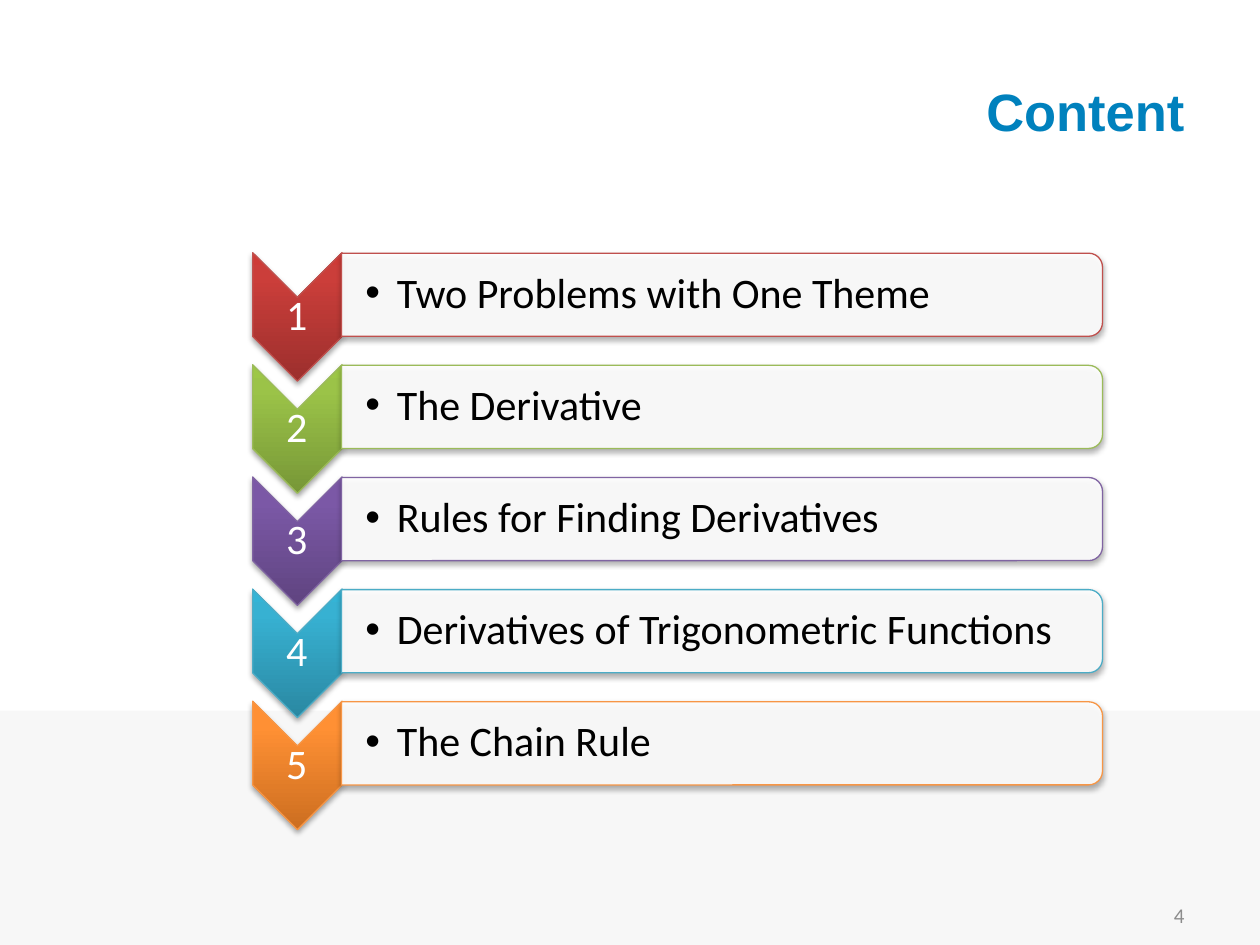
from lxml import etree
from pptx import Presentation
from pptx.dml.color import RGBColor
from pptx.enum.shapes import MSO_SHAPE
from pptx.enum.text import MSO_ANCHOR, PP_ALIGN
from pptx.oxml import parse_xml
from pptx.oxml.ns import nsdecls, qn
from pptx.util import Inches, Pt

CHEVRON = MSO_SHAPE.CHEVRON
BAR = MSO_SHAPE.ROUND_2_SAME_RECTANGLE
RECTANGLE = MSO_SHAPE.RECTANGLE
LEFT, CENTER, RIGHT = PP_ALIGN.LEFT, PP_ALIGN.CENTER, PP_ALIGN.RIGHT
MIDDLE = MSO_ANCHOR.MIDDLE

COLORS = {
    "white": "FFFFFF",
    "black": "000000",
    "band": "F7F7F7",
    "title": "0081BD",
    "page number": "8C8C8C",
}
# Topic, line colour, gradient colours at 0, 80 and 100 percent
TOPICS = [
    ("Two Problems with One Theme", "C0504D", ("9C2F2D", "CB3E3A", "CE3B37")),
    ("The Derivative", "9BBB59", ("779737", "9BC348", "9DC746")),
    ("Rules for Finding Derivatives", "8064A2", ("5F4480", "7B58A6", "7C57A8")),
    ("Derivatives of Trigonometric Functions", "4BACC6", ("2A88A2", "37B1D2", "34B4D6")),
    ("The Chain Rule", "F79646", ("CC6E20", "FF9034", "FF9136")),
]
ROW_PITCH = 0.89


def add_shape(page, kind, left, top, width, height, color):
    shape = page.shapes.add_shape(
        kind, Inches(left), Inches(top), Inches(width), Inches(height))
    shape.shadow.inherit = False
    shape.fill.solid()
    shape.fill.fore_color.rgb = RGBColor.from_string(color)
    shape.line.fill.background()
    return shape


def add_topic_shape(page, kind, left, top, width, height, line_color):
    """Add a shape turned a quarter, with a thin outline and a soft shadow."""
    shape = add_shape(page, kind, left, top, width, height, COLORS["white"])
    shape.rotation = 90
    shape.line.color.rgb = RGBColor.from_string(line_color)
    shape.line.width = Pt(0.75)
    effects = shape._element.spPr.find(qn("a:effectLst"))
    effects.append(parse_xml(
        f'<a:outerShdw {nsdecls("a")} blurRad="40000" dist="23000" dir="5400000" '
        f'rotWithShape="0"><a:srgbClr val="{COLORS["black"]}">'
        '<a:alpha val="35000"/></a:srgbClr></a:outerShdw>'))
    return shape


def set_gradient(shape, stops):
    """Run the gradient from the bottom up, whatever the shape's rotation."""
    marks = "".join(
        f'<a:gs pos="{position}"><a:srgbClr val="{color}"/></a:gs>'
        for position, color in zip((0, 80000, 100000), stops))
    properties = shape._element.spPr
    properties.replace(properties.find(qn("a:solidFill")), parse_xml(
        f'<a:gradFill {nsdecls("a")} rotWithShape="0"><a:gsLst>{marks}</a:gsLst>'
        '<a:lin ang="16200000" scaled="0"/></a:gradFill>'))


def set_opacity(shape, percent):
    color = shape._element.spPr.find(qn("a:solidFill"))[0]
    etree.SubElement(color, qn("a:alpha")).set("val", str(percent * 1000))


def add_text(page, text, left, top, width, height, size, color, align,
             font="Calibri", bold=False):
    box = page.shapes.add_textbox(
        Inches(left), Inches(top), Inches(width), Inches(height))
    frame = box.text_frame
    frame.word_wrap = True
    frame.vertical_anchor = MIDDLE
    frame.text = text
    para = frame.paragraphs[0]
    para.alignment = align
    span = para.runs[0]
    span.font.name = font
    span.font.size = Pt(size)
    span.font.bold = bold
    span.font.color.rgb = RGBColor.from_string(color)
    return frame


def tighten(frame, left_inset=0.02):
    frame.margin_left = Inches(left_inset)
    frame.margin_right = frame.margin_top = frame.margin_bottom = Inches(0.02)
    frame.paragraphs[0].line_spacing = 0.9


def add_bullet(para):
    properties = para._p.get_or_add_pPr()
    properties.set("marL", str(Inches(0.25)))
    properties.set("indent", str(-Inches(0.25)))
    etree.SubElement(properties, qn("a:buFont")).set("typeface", "Arial")
    etree.SubElement(properties, qn("a:buChar")).set("char", "•")


def add_topic(page, index, topic, line_color, stops):
    offset = index * ROW_PITCH
    chevron = add_topic_shape(page, CHEVRON, 1.85, 2.16 + offset, 1.02, 0.71, line_color)
    set_gradient(chevron, stops)
    number = add_text(page, str(index + 1), 2, 2.36 + offset, 0.71, 0.31,
                      24, COLORS["white"], CENTER)
    tighten(number)
    bar = add_topic_shape(page, BAR, 5.4, -0.68 + offset, 0.66, 6.04, line_color)
    set_opacity(bar, 90)
    label = add_text(page, topic, 2.71, 2.04 + offset, 6, 0.6,
                     24, COLORS["black"], LEFT)
    tighten(label, left_inset=0.19)
    add_bullet(label.paragraphs[0])


def main():
    deck = Presentation()
    deck.slide_width, deck.slide_height = Inches(10), Inches(7.5)
    page = deck.slides.add_slide(deck.slide_layouts[6])
    add_shape(page, RECTANGLE, 0, 5.64, 10, 1.86, COLORS["band"])
    add_text(page, "4", 7.17, 7.06, 2.33, 0.4, 12, COLORS["page number"], RIGHT)
    for index, (topic, line_color, stops) in enumerate(TOPICS):
        add_topic(page, index, topic, line_color, stops)
    add_text(page, "Content", 0.5, 0.25, 9, 1.25, 30, COLORS["title"], RIGHT,
             font="Arial", bold=True)
    deck.save("out.pptx")


if __name__ == "__main__":
    main()
